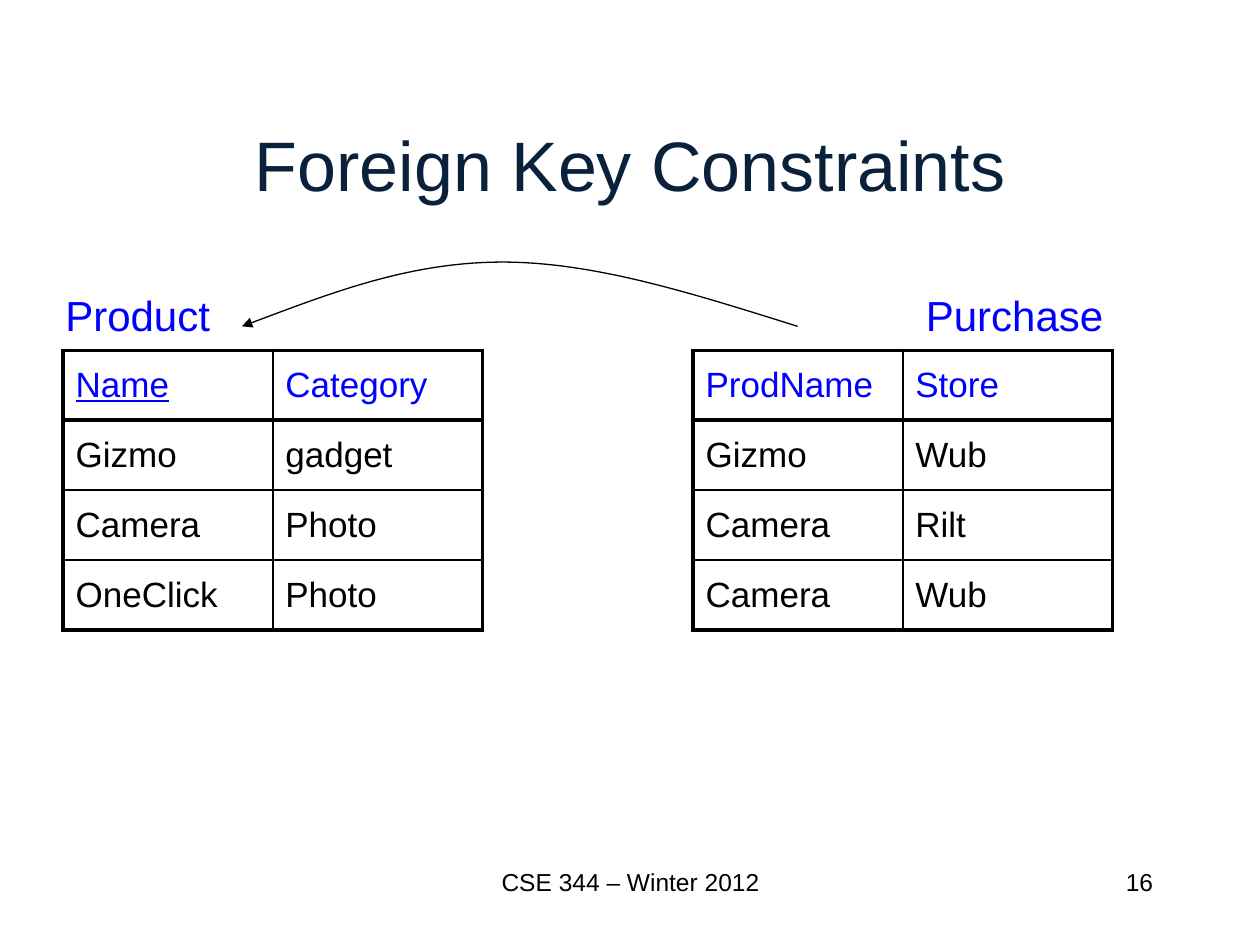
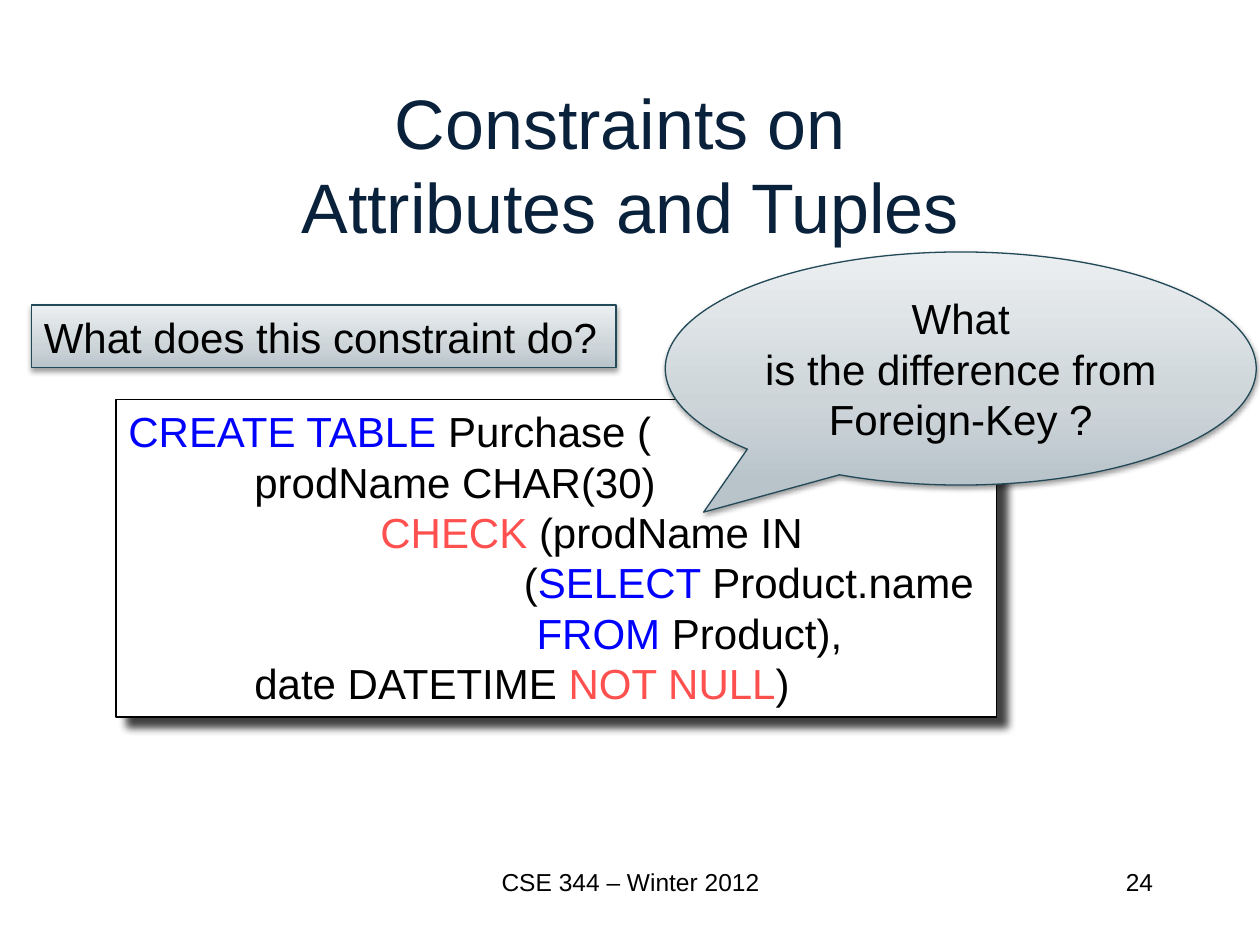
from copy import deepcopy

from lxml.etree import SubElement
from pptx import Presentation
from pptx.dml.color import RGBColor
from pptx.enum.shapes import MSO_SHAPE as Preset
from pptx.enum.text import MSO_ANCHOR as Anchor, PP_ALIGN as Align
from pptx.oxml.ns import qn
from pptx.util import Inches, Pt

COLORS = {
    "title": "09213B",
    "text": "000000",
    "keyword": "0000FF",
    "constraint": "FF5050",
    "paper": "FFFFFF",
    "outline": "224957",
}
GRADIENT = [(0, "B8C3CA"), (0.35, "CDD5D9"), (1, "ECEFF1")]
FONT = "Arial"


def write_text(frame, lines, size, align=Align.LEFT, anchor=Anchor.TOP, wrap=True):
    """Each line is (indent in inches, [(text, colour name), ...]); a newline breaks the line."""
    frame.word_wrap = wrap
    frame.vertical_anchor = anchor
    for number, (indent, runs) in enumerate(lines):
        paragraph = frame.add_paragraph() if number else frame.paragraphs[0]
        paragraph.alignment = align
        if indent:
            paragraph._p.get_or_add_pPr().set("marL", str(Inches(indent)))
        for text, color in runs:
            for part_number, part in enumerate(text.split("\n")):
                if part_number:
                    paragraph.add_line_break()
                run = paragraph.add_run()
                run.text = part
                run.font.name = FONT
                run.font.size = Pt(size)
                run.font.color.rgb = RGBColor.from_string(COLORS[color])


def add_shadow(shape, alpha, blur, distance, angle):
    """Blur and distance are in points, alpha in percent, angle in degrees."""
    shape.shadow.inherit = False
    effects = shape._element.spPr.find(qn("a:effectLst"))
    shadow = SubElement(effects, qn("a:outerShdw"), blurRad=str(Pt(blur)),
                        dist=str(Pt(distance)), dir=str(angle * 60000),
                        algn="ctr", rotWithShape="0")
    color = SubElement(shadow, qn("a:srgbClr"), val="000000")
    SubElement(color, qn("a:alpha"), val=str(alpha * 1000))


presentation = Presentation()
presentation.slide_width = Inches(10)
presentation.slide_height = Inches(7.5)

# Title, footer and slide number on both slides
slides = []
for title, number in [("Foreign Key Constraints", "16"),
                      ("Constraints on \nAttributes and Tuples", "24")]:
    slide = presentation.slides.add_slide(presentation.slide_layouts[6])
    slides.append(slide)
    for text, box, size, color, align, anchor in [
        (title, (0.75, 0.67, 8.5, 1.25), 40, "title", Align.CENTER, Anchor.MIDDLE),
        ("CSE 344 – Winter 2012", (3.17, 6.83, 3.67, 0.5), 14, "text", Align.CENTER, Anchor.TOP),
        (number, (7.17, 6.83, 2.08, 0.5), 14, "text", Align.RIGHT, Anchor.TOP),
    ]:
        textbox = slide.shapes.add_textbox(*map(Inches, box))
        write_text(textbox.text_frame, [(0, [(text, color)])], size, align, anchor)
keys_slide, check_slide = slides

# Slide 1: two relations and the reference between them
product_rows = [("Name", "Category"), ("Gizmo", "gadget"),
                ("Camera", "Photo"), ("OneClick", "Photo")]
purchase_rows = [("ProdName", "Store"), ("Gizmo", "Wub"),
                 ("Camera", "Rilt"), ("Camera", "Wub")]
THICK, THIN = 2.25, 1

for name, label_left, label_width, table_left, rows in [
    ("Product", 0.42, 1.37, 0.5, product_rows),
    ("Purchase", 7.25, 1.62, 5.5, purchase_rows),
]:
    label = keys_slide.shapes.add_textbox(
        Inches(label_left), Inches(2.25), Inches(label_width), Inches(0.5))
    write_text(label.text_frame, [(0, [(name, "keyword")])], 24, wrap=False)

    table = keys_slide.shapes.add_table(
        len(rows), 2, Inches(table_left), Inches(2.78), Inches(3.33), Inches(2.22)).table
    table.first_row = False
    table.horz_banding = False
    last_row = len(rows) - 1
    for row, values in enumerate(rows):
        for column, value in enumerate(values):
            cell = table.cell(row, column)
            color = "text" if row else "keyword"
            write_text(cell.text_frame, [(0, [(value, color)])], 20)
            cell.vertical_anchor = Anchor.MIDDLE
            borders = {
                "a:lnL": THIN if column else THICK,
                "a:lnR": THICK if column else THIN,
                "a:lnT": THICK if row <= 1 else THIN,
                "a:lnB": THICK if row in (0, last_row) else THIN,
            }
            properties = cell._tc.get_or_add_tcPr()
            for tag, width in borders.items():
                border = SubElement(properties, qn(tag), w=str(Pt(width)))
                fill = SubElement(border, qn("a:solidFill"))
                SubElement(fill, qn("a:srgbClr"), val=COLORS["text"])
            cell.fill.background()
    if name == "Product":
        table.cell(0, 0).text_frame.paragraphs[0].runs[0].font.underline = True

# The builder draws straight segments; each three points become one Bézier curve
curve_points = [(5.53, 2.34), (4.73, 2.08), (3.99, 2.08),
                (3.25, 2.08), (2.59, 2.34), (1.92, 2.59)]
builder = keys_slide.shapes.build_freeform(Inches(6.33), Inches(2.59))
builder.add_line_segments([(Inches(x), Inches(y)) for x, y in curve_points], close=False)
reference = builder.convert_to_shape()
outline = reference._element.spPr.find(".//" + qn("a:path"))
segments = outline.findall(qn("a:lnTo"))
for start in range(0, len(segments), 3):
    curve = SubElement(outline, qn("a:cubicBezTo"))
    for segment in segments[start:start + 3]:
        curve.append(segment[0])
        outline.remove(segment)
reference.shadow.inherit = False
reference.fill.background()
reference.line.color.rgb = RGBColor.from_string(COLORS["text"])
reference.line.width = Pt(0.75)
SubElement(reference._element.spPr.find(qn("a:ln")), qn("a:tailEnd"), type="triangle")

# Slide 2: the statement, then the two questions about it
statement_lines = [
    (0, [("CREATE TABLE ", "keyword"), ("Purchase (", "text")]),
    (1, [("prodName CHAR(30)", "text")]),
    (2, [("CHECK", "constraint"), (" (prodName IN", "text")]),
    (3.14, [("(", "text"), ("SELECT ", "keyword"), ("Product.name", "text")]),
    (3.24, [("FROM ", "keyword"), ("Product),", "text")]),
    (1, [("date DATETIME ", "text"), ("NOT NULL", "constraint"), (")", "text")]),
]
statement = check_slide.shapes.add_shape(
    Preset.RECTANGLE, Inches(0.92), Inches(3.17), Inches(6.99), Inches(2.52))
statement.fill.solid()
statement.fill.fore_color.rgb = RGBColor.from_string(COLORS["paper"])
statement.line.color.rgb = RGBColor.from_string(COLORS["text"])
statement.line.width = Pt(0.75)
add_shadow(statement, alpha=75, blur=5, distance=8.5, angle=45)
write_text(statement.text_frame, statement_lines, 24)

for preset, box, adjustments, text, align, anchor in [
    (Preset.OVAL_CALLOUT, (5.28, 2, 4.69, 1.85), (-0.435, 0.616),
     "What\nis the difference from\nForeign-Key ?", Align.CENTER, Anchor.MIDDLE),
    (Preset.RECTANGLE, (0.25, 2.42, 4.64, 0.5), (),
     "What does this constraint do?", Align.LEFT, Anchor.TOP),
]:
    question = check_slide.shapes.add_shape(preset, *map(Inches, box))
    for index, value in enumerate(adjustments):
        question.adjustments[index] = value
    question.fill.gradient()
    question.fill.gradient_angle = 90
    stop_list = question._element.spPr.find(".//" + qn("a:gsLst"))
    stop_list.insert(1, deepcopy(stop_list[0]))
    for stop, (position, color) in zip(question.fill.gradient_stops, GRADIENT):
        stop.position = position
        stop.color.rgb = RGBColor.from_string(color)
    question.line.color.rgb = RGBColor.from_string(COLORS["outline"])
    question.line.width = Pt(0.75)
    add_shadow(question, alpha=38, blur=3.1, distance=1.6, angle=90)
    write_text(question.text_frame, [(0, [(text, "text")])], 24, align, anchor)

presentation.save("out.pptx")
